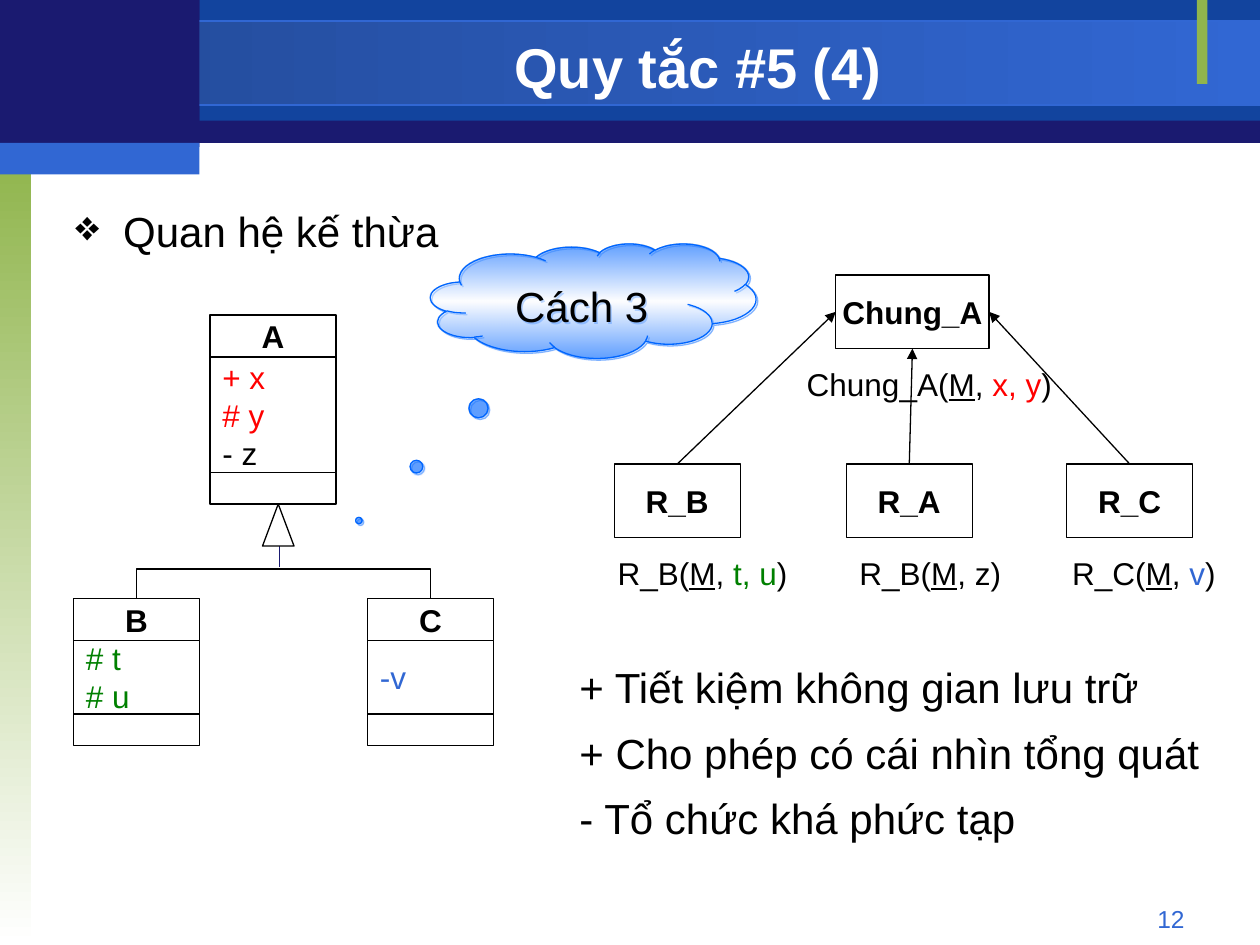
from lxml import etree
from pptx import Presentation
from pptx import util as u
from pptx.dml.color import RGBColor
from pptx.enum import shapes, text
from pptx.oxml.ns import qn

NAVY = RGBColor(0x1A, 0x1A, 0x70)
ROYAL = RGBColor(0x12, 0x44, 0x9E)
STEEL = RGBColor(0x23, 0x4A, 0x97)
BLUE = RGBColor(0x31, 0x67, 0xD3)
SKY = RGBColor(0x00, 0x66, 0xFF)
LIME = RGBColor(0x90, 0xB5, 0x4D)
GREEN = RGBColor(0x00, 0x80, 0x00)
RED = RGBColor(0xFF, 0x00, 0x00)
BLACK = RGBColor(0, 0, 0)
WHITE = RGBColor(0xFF, 0xFF, 0xFF)

FONT = "Arial"
LEFT, CENTER = text.PP_ALIGN.LEFT, text.PP_ALIGN.CENTER
RECTANGLE = shapes.MSO_SHAPE.RECTANGLE
COLUMNS, ROWS = 120, 90  # grid cells of 1/12 inch


def grid(*cells):
    return [u.Inches(cell / 12) for cell in cells]


def add_color(parent, color, alpha=100):
    node = etree.SubElement(parent, qn("a:srgbClr"), val=str(color))
    if alpha < 100:
        etree.SubElement(node, qn("a:alpha"), val=str(alpha * 1000))


def fill_gradient(shape, stops, angle, alpha=100):
    """Fill with (percent, colour) stops; the angle runs clockwise."""
    shape.fill.gradient()
    gradient = shape._element.spPr.find(qn("a:gradFill"))
    for child in list(gradient):
        gradient.remove(child)
    stop_list = etree.SubElement(gradient, qn("a:gsLst"))
    for percent, color in stops:
        stop = etree.SubElement(stop_list, qn("a:gs"), pos=str(percent * 1000))
        add_color(stop, color, alpha)
    etree.SubElement(gradient, qn("a:lin"), ang=str(angle * 60000), scaled="0")


def add_shape(page, cells, fill=WHITE, line=None, kind=RECTANGLE):
    shape = page.shapes.add_shape(kind, *grid(*cells))
    shape.shadow.inherit = False
    if fill is not None:
        shape.fill.solid()
        shape.fill.fore_color.rgb = fill
    if line is None:
        shape.line.fill.background()
    else:
        shape.line.color.rgb = line
        shape.line.width = u.Pt(0.75)
    return shape


def write(box, lines, size=18, align=LEFT, bold=False, wrap=True,
          anchor=text.MSO_ANCHOR.MIDDLE, spacing=None):
    """Each line is a list of (words, colour) or (words, colour, underlined)."""
    frame = box.text_frame
    frame.word_wrap = wrap
    frame.auto_size = text.MSO_AUTO_SIZE.NONE
    frame.vertical_anchor = anchor
    for index, spans in enumerate(lines):
        para = frame.add_paragraph() if index else frame.paragraphs[0]
        para.alignment = align
        if spacing:
            para.line_spacing = spacing
        para.font.name = FONT
        para.font.size = u.Pt(size)
        para.font.bold = bold
        for words, color, *underlined in spans:
            span = para.add_run()
            span.text = words
            span.font.color.rgb = color
            if underlined:
                span.font.underline = True


def add_text(page, cells, lines, **style):
    box = page.shapes.add_textbox(*grid(*cells))
    write(box, lines, anchor=text.MSO_ANCHOR.TOP, **style)
    return box


def add_line(page, start, end, color=BLACK, arrow=False):
    line = page.shapes.add_connector(
        shapes.MSO_CONNECTOR.STRAIGHT, *grid(*start, *end))
    line.line.color.rgb = color
    line.line.width = u.Pt(0.75)
    properties = line._element.spPr
    if arrow:
        etree.SubElement(properties.find(qn("a:ln")), qn("a:tailEnd"), type="triangle")
    etree.SubElement(properties, qn("a:effectLst"))


def add_class(page, left, top, name, members, height):
    """UML class: name, attributes and an empty operations row."""
    header = add_shape(page, (left, top, 12, 4), line=BLACK)
    write(header, [[(name, BLACK)]], align=CENTER, bold=True, wrap=False)
    attributes = add_shape(page, (left, top + 4, 12, height), line=BLACK)
    write(attributes, [[member] for member in members])
    add_shape(page, (left, top + 4 + height, 12, 3), line=BLACK)


def add_relation(page, cells, name, label_cells, label):
    box = add_shape(page, cells, line=BLACK)
    write(box, [[(name, BLACK)]], align=CENTER, bold=True, wrap=False)
    add_text(page, label_cells, [label], align=CENTER, wrap=False)


def add_background(page):
    add_shape(page, (0, 0, COLUMNS, 13.6), NAVY)
    add_shape(page, (19, 0, COLUMNS - 19, 11.5), ROYAL)
    band = add_shape(page, (0, 2, COLUMNS, 8), None, BLUE)
    fill_gradient(band, [(0, STEEL), (100, BLUE)], 0)
    side = add_shape(page, (0, 15, 3, ROWS - 15), None)
    fill_gradient(side, [(0, LIME), (100, WHITE)], 90)
    add_shape(page, (114, 0, 1, 8), LIME)
    add_shape(page, (0, 0, 19, 14), NAVY)
    add_shape(page, (0, 13.6, 19, 3), BLUE)


def add_title(page):
    title = page.shapes.title
    page.shapes._spTree.append(title._element)  # bring in front of the bands
    title.left, title.top, title.width, title.height = grid(19, 2.8, 95, 7)
    write(title, [[("Quy tắc #5 (4)", WHITE)]], size=32, align=CENTER, bold=True)


def add_heading(page):
    box = page.shapes.add_textbox(*grid(6, 18, 108, 6))
    properties = box.text_frame.paragraphs[0]._p.get_or_add_pPr()
    indent = u.Inches(0.38)
    properties.set("marL", str(indent))
    properties.set("indent", str(-indent))
    etree.SubElement(properties, qn("a:buChar"), char="❖")
    write(box, [[("Quan hệ kế thừa", BLACK)]], size=24, spacing=1.2,
          anchor=text.MSO_ANCHOR.TOP)


def add_inheritance(page):
    add_class(page, 20, 30, "A", [("+ x", RED), ("# y", RED), ("- z", BLACK)], 11)
    add_class(page, 7, 57, "B", [("# t", GREEN), ("# u", GREEN)], 7)
    add_class(page, 35, 57, "C", [("-v", BLUE)], 7)
    # Bracket joining both subclasses, then the inheritance arrow
    points = [grid(*point) for point in [(13, 57), (13, 54.2), (41, 54.2), (41, 57)]]
    builder = page.shapes.build_freeform(*points[0])
    builder.add_line_segments(points[1:], close=False)
    bracket = builder.convert_to_shape()
    bracket.shadow.inherit = False
    bracket.fill.background()
    bracket.line.color.rgb = BLACK
    bracket.line.width = u.Pt(0.75)
    add_line(page, (26.6, 54), (26.6, 51), NAVY)
    add_shape(page, (25, 48, 3, 4), line=BLACK, kind=shapes.MSO_SHAPE.ISOSCELES_TRIANGLE)


def add_relations(page):
    top, label_top = 44.2, 52.2
    key, comma, close = ("M", BLACK, True), (", ", BLACK), (")", BLACK)
    add_relation(page, (79.6, 26.2, 14.6, 7), "Chung_A", (75.6, 34.2, 25.8, 4.8),
                 [("Chung_A(", BLACK), key, comma, ("x, y", RED), close])
    children = [
        ("R_B", 58.5, 57.6, 18.6, [("R_B(", BLACK), key, comma, ("t, u", GREEN), close]),
        ("R_A", 80.6, 80.6, 16, [("R_B(", BLACK), key, (", z)", BLACK)]),
        ("R_C", 101.6, 100.9, 16.1, [("R_C(", BLACK), key, comma, ("v", BLUE), close]),
    ]
    ends = [(79.6, 29.7), (86.9, 33.2), (94.2, 29.7)]
    for (name, left, label_left, label_width, label), end in zip(children, ends):
        add_relation(page, (left, top, 12, 7), name,
                     (label_left, label_top, label_width, 4.8), label)
        add_line(page, (left + 6, top), end, arrow=True)


def add_cloud(page):
    cloud = add_shape(page, (41, 23.2, 31, 10.9), None, SKY,
                      shapes.MSO_SHAPE.CLOUD_CALLOUT)
    cloud.adjustments[0], cloud.adjustments[1] = -0.72, 1.92
    fill_gradient(cloud, [(0, SKY), (50, WHITE), (100, SKY)], 90, alpha=50)
    effects = cloud._element.spPr.find(qn("a:effectLst"))
    shadow = etree.SubElement(effects, qn("a:outerShdw"), dist=str(u.Pt(1.4)),
                              dir=str(45 * 60000), algn="ctr", rotWithShape="0")
    add_color(shadow, SKY, 50)
    write(cloud, [[("Cách 3", BLACK)]], size=24, align=CENTER, spacing=1.3)


def main():
    deck = Presentation()
    deck.slide_width, deck.slide_height = grid(COLUMNS, ROWS)
    page = deck.slides.add_slide(deck.slide_layouts[5])
    add_background(page)
    add_text(page, (86, 85.5, 28, 3.3), [[("12", BLUE)]], size=14,
             align=text.PP_ALIGN.RIGHT)
    add_title(page)
    add_heading(page)
    add_inheritance(page)
    remarks = ["+ Tiết kiệm không gian lưu trữ", "+ Cho phép có cái nhìn tổng quát",
               "- Tổ chức khá phức tạp"]
    add_text(page, (54, 61, 63, 20), [[(remark, BLACK)] for remark in remarks],
             size=24, align=text.PP_ALIGN.JUSTIFY, spacing=1.3)
    add_relations(page)
    add_cloud(page)
    deck.save("out.pptx")


if __name__ == "__main__":
    main()
